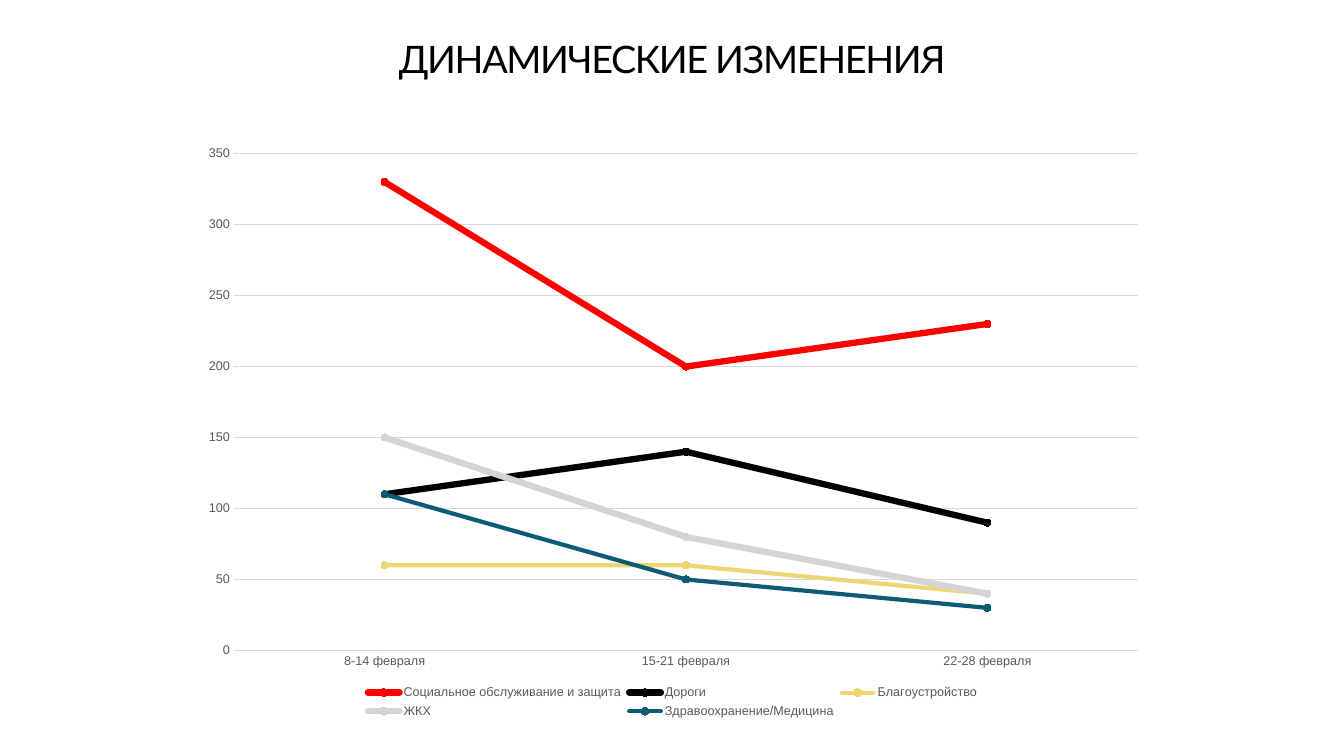
from lxml import etree
from pptx import Presentation
from pptx.chart.data import CategoryChartData
from pptx.dml.color import RGBColor
from pptx.enum.chart import (XL_CHART_TYPE as ChartType, XL_LEGEND_POSITION as LegendPosition,
                             XL_MARKER_STYLE as MarkerStyle, XL_TICK_MARK as TickMark)
from pptx.enum.text import MSO_ANCHOR as Anchor, MSO_AUTO_SIZE as AutoSize, PP_ALIGN as Align
from pptx.oxml.ns import qn
from pptx.util import Inches, Pt

RED = RGBColor(0xFF, 0x00, 0x00)
BLACK = RGBColor(0x00, 0x00, 0x00)
YELLOW = RGBColor(0xED, 0xD7, 0x74)
SILVER = RGBColor(0xD4, 0xD4, 0xD4)
TEAL = RGBColor(0x0E, 0x5B, 0x75)
GRID_GRAY = RGBColor(0xD9, 0xD9, 0xD9)
LABEL_GRAY = RGBColor(0x59, 0x59, 0x59)

WEEKS = ["8-14 февраля", "15-21 февраля", "22-28 февраля"]
TOPICS = [
    ("Социальное обслуживание и защита", (330, 200, 230), RED, 4.5),
    ("Дороги", (110, 140, 90), BLACK, 4.5),
    ("Благоустройство", (60, 60, 40), YELLOW, 3),
    ("ЖКХ", (150, 80, 40), SILVER, 4.5),
    ("Здравоохранение/Медицина", (110, 50, 30), TEAL, 3),
]
PLOT_AREA = {"x": 0.046, "y": 0.085, "w": 0.936, "h": 0.799}


def style_labels(font):
    """Apply the small gray lettering shared by the axes and the legend."""
    font.name = "Arial"
    font.size = Pt(9)
    font.color.rgb = LABEL_GRAY


def style_line(line, color, width):
    """Set the colour and the width in points of a line."""
    line.color.rgb = color
    line.width = Pt(width)


def set_plot_area(chart, area):
    """Fix the inner plot area, given as fractions of the chart."""
    plot_area = chart._chartSpace.chart.plotArea
    for old_layout in plot_area.findall(qn("c:layout")):
        plot_area.remove(old_layout)
    layout = etree.Element(qn("c:layout"))
    plot_area.insert(0, layout)
    manual = etree.SubElement(layout, qn("c:manualLayout"))
    settings = {"layoutTarget": "inner", "xMode": "edge", "yMode": "edge", **area}
    for tag, value in settings.items():
        etree.SubElement(manual, qn(f"c:{tag}")).set("val", str(value))


def add_title(slide, left, top, width, height):
    """Place the slide title in the given box."""
    title = slide.shapes.title
    title.left, title.top, title.width, title.height = left, top, width, height
    frame = title.text_frame
    frame.text = "ДИНАМИЧЕСКИЕ ИЗМЕНЕНИЯ"
    frame.word_wrap = True
    frame.auto_size = AutoSize.NONE
    frame.vertical_anchor = Anchor.TOP
    frame.margin_left = frame.margin_right = Inches(0.05)
    frame.margin_top = frame.margin_bottom = Inches(0.05)
    paragraph = frame.paragraphs[0]
    paragraph.alignment = Align.CENTER
    paragraph.line_spacing = 0.9
    run = paragraph.runs[0]
    run.font.name = "Lato"
    run.font.size = Pt(27)
    run.font.color.rgb = BLACK
    run.font._element.set("spc", "-100")


def add_topic_chart(slide, left, top, width, height):
    """Draw the weekly line chart of topics in the given box."""
    data = CategoryChartData()
    data.categories = WEEKS
    for name, values, _, _ in TOPICS:
        data.add_series(name, values)
    chart = slide.shapes.add_chart(ChartType.LINE_MARKERS, left, top, width, height, data).chart
    chart.has_title = False
    chart.font.name = "Arial"
    chart.font.size = Pt(10)
    chart.font.color.rgb = BLACK
    set_plot_area(chart, PLOT_AREA)

    for axis in (chart.category_axis, chart.value_axis):
        axis.major_tick_mark = axis.minor_tick_mark = TickMark.NONE
        style_labels(axis.tick_labels.font)
    style_line(chart.category_axis.format.line, GRID_GRAY, 0.75)
    value_axis = chart.value_axis
    value_axis.minimum_scale, value_axis.maximum_scale, value_axis.major_unit = 0, 350, 50
    value_axis.format.line.fill.background()
    style_line(value_axis.major_gridlines.format.line, GRID_GRAY, 0.75)

    chart.has_legend = True
    chart.legend.position = LegendPosition.BOTTOM
    chart.legend.include_in_layout = False
    style_labels(chart.legend.font)

    chart.plots[0].vary_by_categories = False
    for series, (_, _, color, line_width) in zip(chart.plots[0].series, TOPICS):
        series.smooth = False
        style_line(series.format.line, color, line_width)
        series._element.spPr.find(qn("a:ln")).set("cap", "rnd")
        series.marker.style = MarkerStyle.CIRCLE
        series.marker.size = 5
        series.marker.format.fill.solid()
        series.marker.format.fill.fore_color.rgb = color
        style_line(series.marker.format.line, color, 0.75)


def main():
    """Build the slide and save it."""
    presentation = Presentation()
    presentation.slide_width, presentation.slide_height = Inches(13.33), Inches(7.5)
    slide = presentation.slides.add_slide(presentation.slide_layouts.get_by_name("Title Only"))
    add_title(slide, Inches(0.05), Inches(0.35), Inches(13.23), Inches(0.74))
    add_topic_chart(slide, Inches(1.88), Inches(1), Inches(9.58), Inches(6.17))
    presentation.save("out.pptx")


if __name__ == "__main__":
    main()
